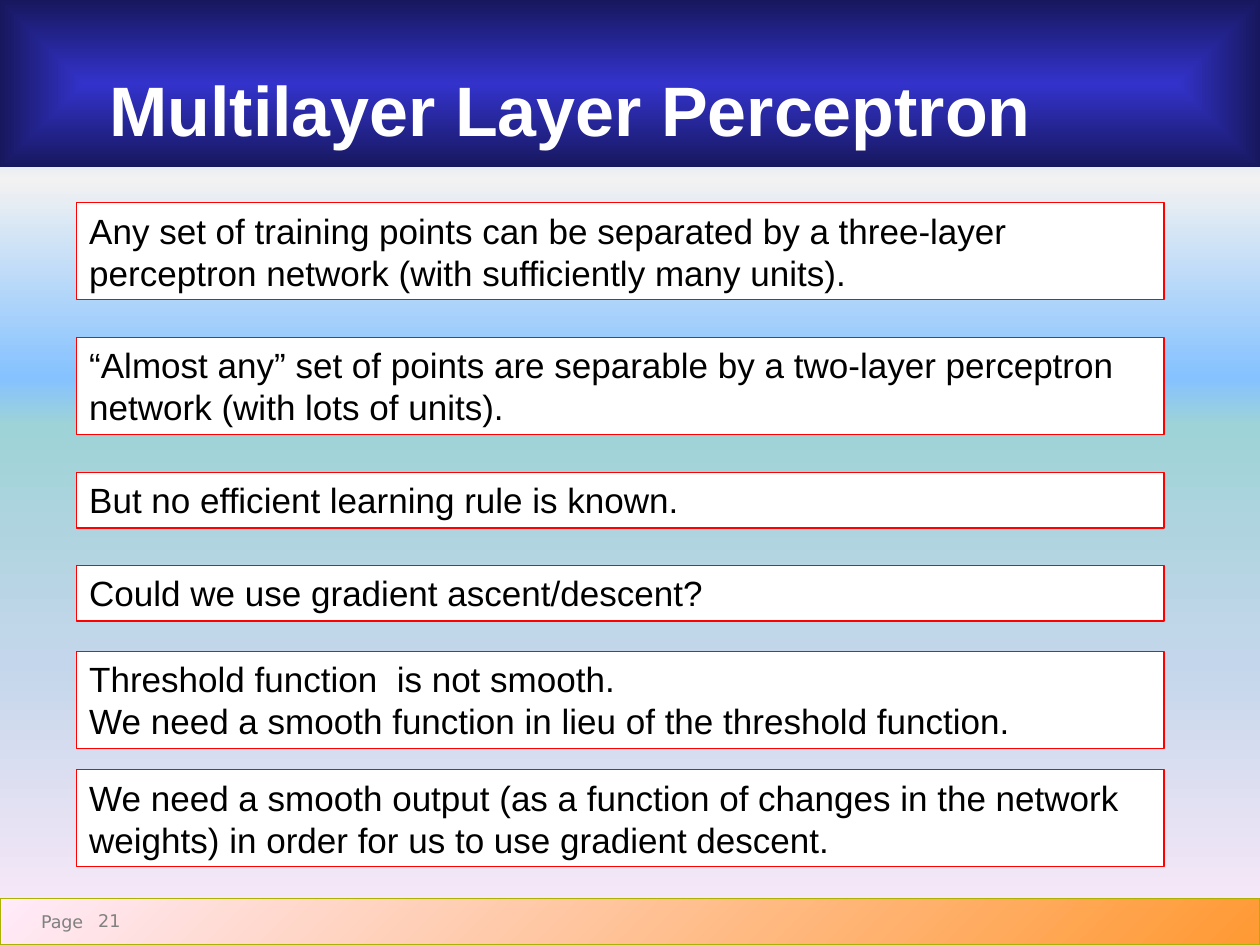
"""Build the perceptron slide: title band, six framed statements and a footer."""
from lxml.etree import fromstring
from pptx import Presentation
from pptx.dml.color import RGBColor
from pptx.enum.shapes import MSO_SHAPE
from pptx.enum.text import MSO_ANCHOR, PP_ALIGN
from pptx.oxml.ns import nsdecls, qn
from pptx.util import Inches, Pt

WIDTH, HEIGHT = 10, 7.5
COLORS = {
    "white": "FFFFFF", "black": "000000", "red": "FF0000", "gray": "808080",
    "olive": "ABB202", "pink": "FFEBFA", "orange": "FF9933",
    "blue": "3333CC", "navy": "17175E", "sky": "5E9EFF", "mist": "F2F2F2",
    "azure": "85C2FF", "teal": "9ED3D7", "haze": "C4D6EB",
}
SKY_STOPS = [(0, "sky"), (19, "mist"), (40, "azure"),
             (45, "teal"), (70, "haze"), (100, "pink")]
FOOTER_STOPS = [(0, "pink"), (100, "orange")]
TITLE_STOPS = [(0, "blue"), (100, "navy")]
CENTER_PATH = ('<a:path path="shape"><a:fillToRect l="50000" t="50000" '
               'r="50000" b="50000"/></a:path>')

TITLE = "Multilayer Layer Perceptron"
TITLE_HEIGHT, FOOTER_HEIGHT = 1.33, 0.37
LEFT, TOP, BOX_WIDTH = 0.61, 1.61, 8.63
LINE_HEIGHT, PADDING = 0.33, 0.11
STATEMENTS = [  # paragraphs, lines, gap below
    (["Any set of training points can be separated by a three-layer "
      "perceptron network (with sufficiently many units)."], 2, 0.3),
    (["“Almost any” set of points are separable by a two-layer perceptron "
      "network (with lots of units)."], 2, 0.3),
    (["But no efficient learning rule is known."], 1, 0.3),
    (["Could we use gradient ascent/descent?"], 1, 0.24),
    (["Threshold function  is not smooth.",
      "We need a smooth function in lieu of the threshold function."], 2, 0.17),
    (["We need a smooth output (as a function of changes in the network "
      "weights) in order for us to use gradient descent."], 2, 0),
]
FOOTER_TEXTS = [
    ("Page", (0.27, 7.23, 0.39, 0.17), PP_ALIGN.RIGHT),
    ("21", (0.78, 7.22, 0.33, 0.23), PP_ALIGN.LEFT),
]


def color(name):
    return RGBColor.from_string(COLORS[name])


def set_gradient(fill, element, stops, direction):
    fill.gradient()
    gradient = element.find(".//" + qn("a:gradFill"))
    stop_xml = "".join(
        f'<a:gs pos="{share * 1000}"><a:srgbClr val="{COLORS[name]}"/></a:gs>'
        for share, name in stops)
    new = fromstring(f'<a:gradFill {nsdecls("a")} rotWithShape="1">'
                     f'<a:gsLst>{stop_xml}</a:gsLst>{direction}</a:gradFill>')
    gradient[:] = list(new)


def linear(degrees):
    return f'<a:lin ang="{degrees * 60000}" scaled="0"/>'


def add_band(page, place, line=None, fill=None):
    band = page.shapes.add_shape(MSO_SHAPE.RECTANGLE, *map(Inches, place))
    band.shadow.inherit = False
    if fill:
        band.fill.solid()
        band.fill.fore_color.rgb = color(fill)
    if line:
        band.line.color.rgb = color(line)
        band.line.width = Pt(0.75)
    else:
        band.line.fill.background()
    return band


def write(box, paragraphs, size=20, font="Arial", ink="black", bold=False,
          align=PP_ALIGN.LEFT, insets=(0.1, 0.05, 0.1, 0.05)):
    frame = box.text_frame
    frame.word_wrap = True
    frame.vertical_anchor = MSO_ANCHOR.TOP
    (frame.margin_left, frame.margin_top,
     frame.margin_right, frame.margin_bottom) = map(Inches, insets)
    for index, text in enumerate(paragraphs):
        para = frame.add_paragraph() if index else frame.paragraphs[0]
        para.alignment = align
        span = para.add_run()
        span.text = text
        span.font.size, span.font.name, span.font.bold = Pt(size), font, bold
        span.font.color.rgb = color(ink)


def main():
    deck = Presentation()
    deck.slide_width, deck.slide_height = Inches(WIDTH), Inches(HEIGHT)
    page = deck.slides.add_slide(deck.slide_layouts[6])
    set_gradient(page.background.fill, page._element, SKY_STOPS, linear(90))

    footer = add_band(page, (0, HEIGHT - FOOTER_HEIGHT, WIDTH, FOOTER_HEIGHT),
                      line="olive")
    set_gradient(footer.fill, footer._element, FOOTER_STOPS, linear(45))
    for text, place, align in FOOTER_TEXTS:
        box = page.shapes.add_textbox(*map(Inches, place))
        write(box, [text], size=10, font="DejaVu Sans", ink="gray",
              align=align, insets=(0, 0, 0, 0))

    title = add_band(page, (0, 0, WIDTH, TITLE_HEIGHT))
    set_gradient(title.fill, title._element, TITLE_STOPS, CENTER_PATH)
    write(title, [TITLE], size=40, ink="white", bold=True,
          insets=(0.87, 0.53, 0, 0))

    top = TOP
    for paragraphs, lines, gap in STATEMENTS:
        height = lines * LINE_HEIGHT + PADDING
        box = add_band(page, (LEFT, top, BOX_WIDTH, height),
                       line="red", fill="white")
        write(box, paragraphs)
        top += height + gap

    deck.save("out.pptx")


if __name__ == "__main__":
    main()
